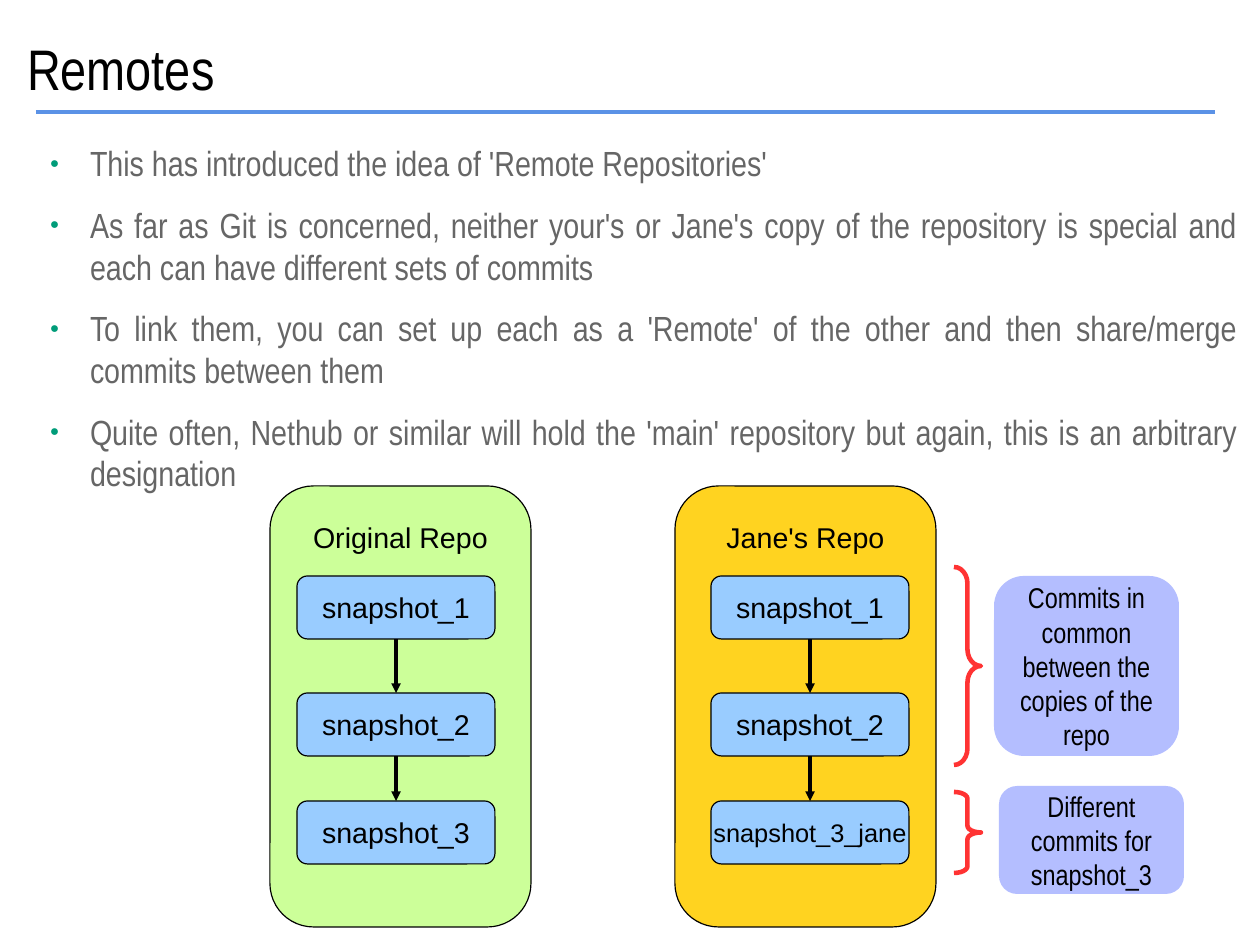
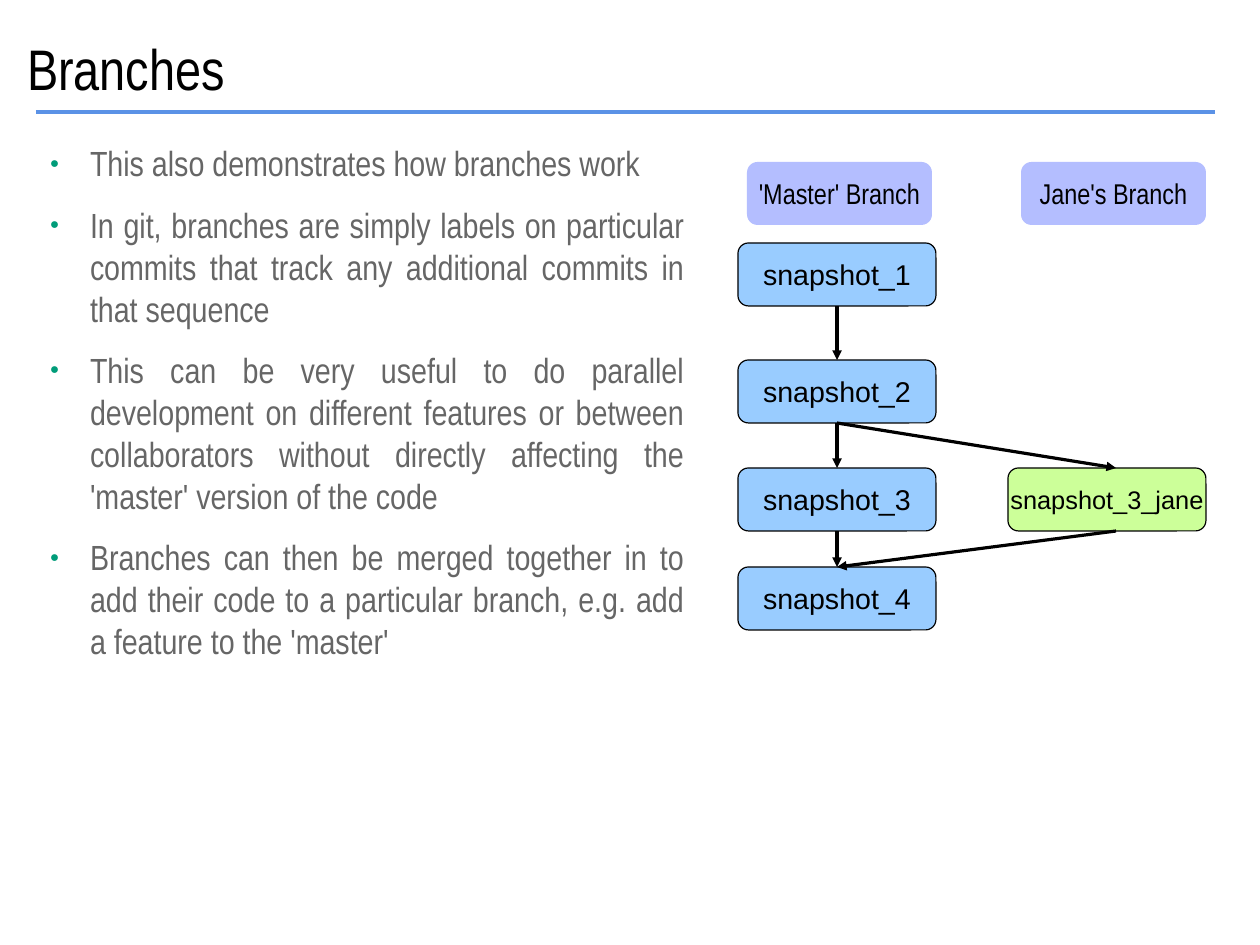
from lxml import etree
from pptx import Presentation
from pptx import util as u
from pptx.dml.color import RGBColor
from pptx.enum import shapes, text
from pptx.oxml import ns

PX = 8000
HUES = {
    "black": "000000", "grey": "666666", "teal": "009C79", "rule": "5B92E6",
    "sky": "99CCFF", "lime": "CCFF99", "gold": "FFD320", "lilac": "B4BEFF",
    "red": "FF3333",
}
HUES = {name: RGBColor.from_string(code) for name, code in HUES.items()}
NARROW = "Arial Narrow"
WIDE, HIGH = 198, 63
LABEL = 185


def box(page, words, x, y, w, h, hue, size=18, face="Arial", edge=True, top=None):
    item = page.shapes.add_shape(
        shapes.MSO_SHAPE.ROUNDED_RECTANGLE, x * PX, y * PX, w * PX, h * PX)
    item.shadow.inherit = False
    item.fill.solid()
    item.fill.fore_color.rgb = HUES[hue]
    if edge:
        item.line.color.rgb = HUES["black"]
        item.line.width = 0
    else:
        item.line.fill.background()
    frame = item.text_frame
    frame.margin_left = frame.margin_right = 0
    frame.margin_top = frame.margin_bottom = (top or 0) * PX
    frame.word_wrap = not edge
    frame.vertical_anchor = text.MSO_ANCHOR.TOP if top else text.MSO_ANCHOR.MIDDLE
    para = frame.paragraphs[0]
    para.text = words
    para.alignment = text.PP_ALIGN.CENTER
    para.font.name = face
    para.font.size = u.Pt(size)
    para.font.color.rgb = HUES["black"]


def line(page, x1, y1, x2, y2, hue="black", width=0, head=True):
    item = page.shapes.add_connector(
        shapes.MSO_CONNECTOR.STRAIGHT, x1 * PX, y1 * PX, x2 * PX, y2 * PX)
    item.line.color.rgb = HUES[hue]
    item.line.width = u.Pt(width)
    if head:
        etree.SubElement(item.line._get_or_add_ln(), ns.qn("a:tailEnd"), type="triangle")
    etree.SubElement(item._element.spPr, ns.qn("a:effectLst"))


deck = Presentation()
deck.slide_width, deck.slide_height = 1260 * PX, 945 * PX

topics = [
    ("Remotes", 1201, [
        "This has introduced the idea of 'Remote Repositories'",
        "As far as Git is concerned, neither your's or Jane's copy of the repository is special and each can have different sets of commits",
        "To link them, you can set up each as a 'Remote' of the other and then share/merge commits between them",
        "Quite often, Nethub or similar will hold the 'main' repository but again, this is an arbitrary designation",
    ]),
    ("Branches", 648, [
        "This also demonstrates how branches work",
        "In git, branches are simply labels on particular commits that track any additional commits in that sequence",
        "This can be very useful to do parallel development on different features or between collaborators without directly affecting the 'master' version of the code",
        "Branches can then be merged together in to add their code to a particular branch, e.g. add a feature to the 'master'",
    ]),
]

pages = []
for name, width, points in topics:
    page = deck.slides.add_slide(deck.slide_layouts[1])
    pages.append(page)
    title, body = page.placeholders
    for item, x, y, w, h in [(title, 27, 4, 1178, 128), (body, 36, 142, width, 800)]:
        item.left, item.top, item.width, item.height = x * PX, y * PX, w * PX, h * PX
        frame = item.text_frame
        frame.margin_left = frame.margin_right = 0
        frame.margin_top = frame.margin_bottom = 0
        frame.auto_size = text.MSO_AUTO_SIZE.NONE
        frame.word_wrap = True
    title.text_frame.vertical_anchor = text.MSO_ANCHOR.MIDDLE
    title.text_frame.text = name
    para = title.text_frame.paragraphs[0]
    para.alignment = text.PP_ALIGN.LEFT
    para.font.name = NARROW
    para.font.size = u.Pt(36)
    para.font.color.rgb = HUES["black"]

    body.text_frame.text = "\n".join(points)
    for para in body.text_frame.paragraphs:
        para.alignment = text.PP_ALIGN.JUSTIFY
        para.space_before = u.Pt(0)
        para.space_after = u.Pt(12.3)
        props = para._p.get_or_add_pPr()
        props.set("marL", str(54 * PX))
        props.set("indent", str(-40 * PX))
        tint = etree.SubElement(props, ns.qn("a:buClr"))
        etree.SubElement(tint, ns.qn("a:srgbClr"), val=str(HUES["teal"]))
        etree.SubElement(props, ns.qn("a:buSzPct"), val="45000")
        etree.SubElement(props, ns.qn("a:buFont"), typeface="Arial")
        etree.SubElement(props, ns.qn("a:buChar"), char="●")
        para.font.name = NARROW
        para.font.size = u.Pt(22)
        para.font.color.rgb = HUES["grey"]
    line(page, 36, 112, 1215, 112, "rule", 2.83, False)

remote, branch = pages

for words, x, hue in [("Jane's Repo", 675, "gold"), ("Original Repo", 270, "lime")]:
    box(remote, words, x, 486, 261, 441, hue, top=21)

stacks = [
    (remote, 297, [576, 693, 801], "snapshot_3"),
    (remote, 711, [576, 693, 801], "snapshot_3_jane"),
    (branch, 738, [243, 360, 468, 567], "snapshot_3"),
]
for page, x, rows, third in stacks:
    names = ["snapshot_1", "snapshot_2", third, "snapshot_4"]
    for words, y in zip(names, rows):
        box(page, words, x, y, WIDE, HIGH, "sky", 16 if "jane" in words else 18)
    mid = x + WIDE // 2
    for y, below in zip(rows, rows[1:]):
        line(page, mid, y + HIGH, mid, below)

for y, h in [(567, 198), (792, 81)]:
    brace = remote.shapes.add_shape(
        shapes.MSO_SHAPE.RIGHT_BRACE, 954 * PX, y * PX, 27 * PX, h * PX)
    brace.shadow.inherit = False
    brace.fill.background()
    brace.line.color.rgb = HUES["red"]
    brace.line.width = u.Pt(2.89)
    brace.adjustments[0] = h / 12 / 27

labels = [
    (remote, "Commits in common between the copies of the repo", 994, 576, 180),
    (remote, "Different commits for snapshot_3", 999, 786, 108),
    (branch, "'Master' Branch", 747, 162, HIGH),
    (branch, "Jane's Branch", 1021, 162, HIGH),
]
for page, words, x, y, h in labels:
    box(page, words, x, y, LABEL, h, "lilac", face=NARROW, edge=False)

box(branch, "snapshot_3_jane", 1008, 468, WIDE, HIGH, "lime", 16)
line(branch, 837, 423, 1116, 468)
line(branch, 1116, 531, 837, 567)

deck.save("out.pptx")
